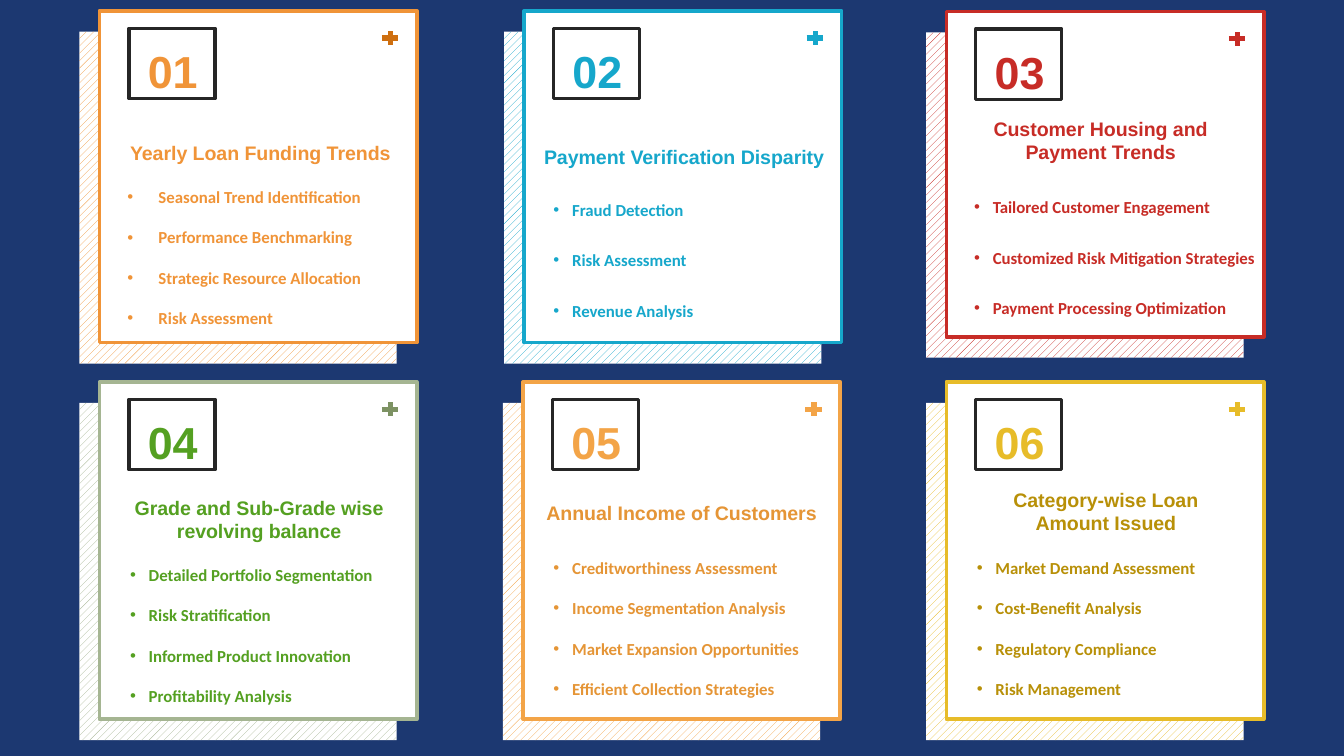
from lxml.etree import SubElement
from pptx import Presentation
from pptx.dml.color import RGBColor
from pptx.enum.dml import MSO_PATTERN
from pptx.enum.shapes import MSO_CONNECTOR, MSO_SHAPE
from pptx.enum.text import MSO_AUTO_SIZE, PP_ALIGN
from pptx.oxml.ns import qn
from pptx.util import Pt

LEFT, CENTER, JUSTIFY = PP_ALIGN.LEFT, PP_ALIGN.CENTER, PP_ALIGN.JUSTIFY


def color(value):
    return RGBColor.from_string(value)


def add_text(frame, lines, font, paragraph_format, indent=0):
    """Write one paragraph per line in a text box; an indent makes them bullets."""
    left, top, width, height = frame
    box = page.shapes.add_textbox(Pt(left), Pt(top), Pt(width), Pt(height))
    box.text_frame.word_wrap = True
    box.text_frame.auto_size = MSO_AUTO_SIZE.SHAPE_TO_FIT_TEXT
    for index, line in enumerate(lines):
        para = box.text_frame.paragraphs[0] if index == 0 else box.text_frame.add_paragraph()
        if indent:
            properties = para._p.get_or_add_pPr()
            properties.set("marL", str(Pt(indent)))
            properties.set("indent", str(-Pt(indent)))
            SubElement(properties, qn("a:buFont"), typeface="Arial")
            SubElement(properties, qn("a:buChar"), char="•")
        for name, value in paragraph_format.items():
            setattr(para, name, value)
        span = para.add_run()
        span.text = line
        span.font.color.rgb = color(font["color"])
        for name in ("name", "size", "bold"):
            setattr(span.font, name, font[name])


# Frames are left, top, width, height in points.
cards = [
    {"card": (53.3, 5.8, 170, 177.8), "accent": "F09438", "plus": "CE6F10", "ink": "F09438",
     "title": "Yearly Loan Funding Trends", "title_frame": (62.6, 65.5, 206.6, 23.8),
     "title_format": {"alignment": JUSTIFY, "line_spacing": 1.5},
     "list_frame": (61.2, 85.7, 152.6, 91.4), "indent": 16.6,
     "list_format": {"alignment": JUSTIFY, "line_spacing": 2.0},
     "items": ["Seasonal Trend Identification", "Performance Benchmarking",
               "Strategic Resource Allocation", "Risk Assessment"]},
    {"card": (280.8, 5.8, 170, 177.8), "accent": "16A7CB", "plus": "16A7CB", "ink": "16A7CB",
     "title": "Payment Verification Disparity", "title_frame": (284.4, 67.7, 180, 23.8),
     "title_format": {"alignment": LEFT, "line_spacing": 1.5},
     "list_frame": (289.4, 87.1, 152.6, 85), "indent": 10,
     "list_format": {"alignment": LEFT, "line_spacing": 2.5},
     "items": ["Fraud Detection", "Risk Assessment", "Revenue Analysis"]},
    {"card": (507, 6.2, 170, 174.2), "accent": "C72C26", "plus": "C72C26", "ink": "C72C26",
     "title": "Customer Housing and Payment Trends", "title_frame": (513.4, 59, 152.6, 32.4),
     "title_format": {"alignment": CENTER},
     "list_frame": (514.8, 85.7, 168.5, 85), "indent": 10,
     "list_format": {"alignment": LEFT, "line_spacing": 2.5},
     "items": ["Tailored Customer Engagement", "Customized Risk Mitigation Strategies",
               "Payment Processing Optimization"]},
    {"card": (53.3, 204.6, 170, 180.7), "accent": "A5B592", "plus": "7D9263", "ink": "54A021",
     "number_color": "54A021",
     "title": "Grade and Sub-Grade wise revolving balance",
     "title_frame": (62.6, 262, 152.6, 32.4), "title_format": {"alignment": CENTER},
     "list_frame": (62.6, 288, 152.6, 91.4), "indent": 10,
     "list_format": {"alignment": LEFT, "line_spacing": 2.0},
     "items": ["Detailed Portfolio Segmentation", "Risk Stratification",
               "Informed Product Innovation", "Profitability Analysis"]},
    {"card": (280.2, 204.6, 170, 180.7), "accent": "F3A447", "plus": "F3A447", "ink": "E59536",
     "title": "Annual Income of Customers", "title_frame": (280.2, 265, 170, 20.2),
     "title_format": {"alignment": CENTER},
     "list_frame": (289.4, 284.4, 152.6, 91.4), "indent": 10,
     "list_format": {"alignment": LEFT, "line_spacing": 2.0},
     "items": ["Creditworthiness Assessment", "Income Segmentation Analysis",
               "Market Expansion Opportunities", "Efficient Collection Strategies"]},
    {"card": (507, 204.6, 170, 180.7), "accent": "E7BC29", "plus": "E7BC29", "ink": "B89008",
     "title": "Category-wise Loan Amount Issued", "title_frame": (516.2, 257.8, 152.6, 32.4),
     "title_format": {"alignment": CENTER},
     "list_frame": (516.2, 284.4, 152.6, 91.4), "indent": 10,
     "list_format": {"alignment": LEFT, "line_spacing": 2.0},
     "items": ["Market Demand Assessment", "Cost-Benefit Analysis",
               "Regulatory Compliance", "Risk Management"]},
]

deck = Presentation()
deck.slide_width, deck.slide_height = Pt(720), Pt(405)
page = deck.slides.add_slide(deck.slide_layouts[6])
page.background.fill.solid()
page.background.fill.fore_color.rgb = color("1C3871")

for number, card in enumerate(cards, start=1):
    left, top, width, height = card["card"]
    accent = card["accent"]

    # Hatched backing, white card and number frame
    for dx, dy, w, h, fill, line, weight in (
        (-10.8, 11.2, width, height, "hatch", None, 0),
        (0, 0, width, height, "FFFFFF", accent, 2),
        (15.8, 9.3, 46.1, 37.8, None, "262626", 1.75),
    ):
        panel = page.shapes.add_shape(
            MSO_SHAPE.RECTANGLE, Pt(left + dx), Pt(top + dy), Pt(w), Pt(h))
        panel.shadow.inherit = False
        if fill == "hatch":
            panel.fill.patterned()
            panel.fill.pattern = MSO_PATTERN.WIDE_UPWARD_DIAGONAL
            panel.fill.fore_color.rgb = color(accent)
            panel.fill.back_color.rgb = color("FFFFFF")
        elif fill:
            panel.fill.solid()
            panel.fill.fore_color.rgb = color(fill)
        else:
            panel.fill.background()
        if line:
            panel.line.color.rgb = color(line)
            panel.line.width = Pt(weight)
        else:
            panel.line.fill.background()

    # Plus sign in the top right corner
    for x1, y1, x2, y2 in ((151.3, 14.6, 160, 14.6), (155.9, 11, 155.9, 18.2)):
        stroke = page.shapes.add_connector(
            MSO_CONNECTOR.STRAIGHT,
            Pt(left + x1), Pt(top + y1), Pt(left + x2), Pt(top + y2))
        stroke.line.color.rgb = color(card["plus"])
        stroke.line.width = Pt(2.75)
        SubElement(stroke._element.spPr, qn("a:effectLst"))

    heading = {"name": "Arial", "size": Pt(10.5), "bold": True, "color": card["ink"]}
    add_text(card["list_frame"], card["items"],
             heading | {"name": "Calibri", "size": Pt(9)}, card["list_format"], card["indent"])
    add_text(card["title_frame"], [card["title"]], heading, card["title_format"])
    add_text((left + 11.9, top + 14, 54.7, 36), [f"{number:02}"],
             heading | {"size": Pt(24), "color": card.get("number_color", accent)},
             {"alignment": CENTER})

deck.save("out.pptx")
